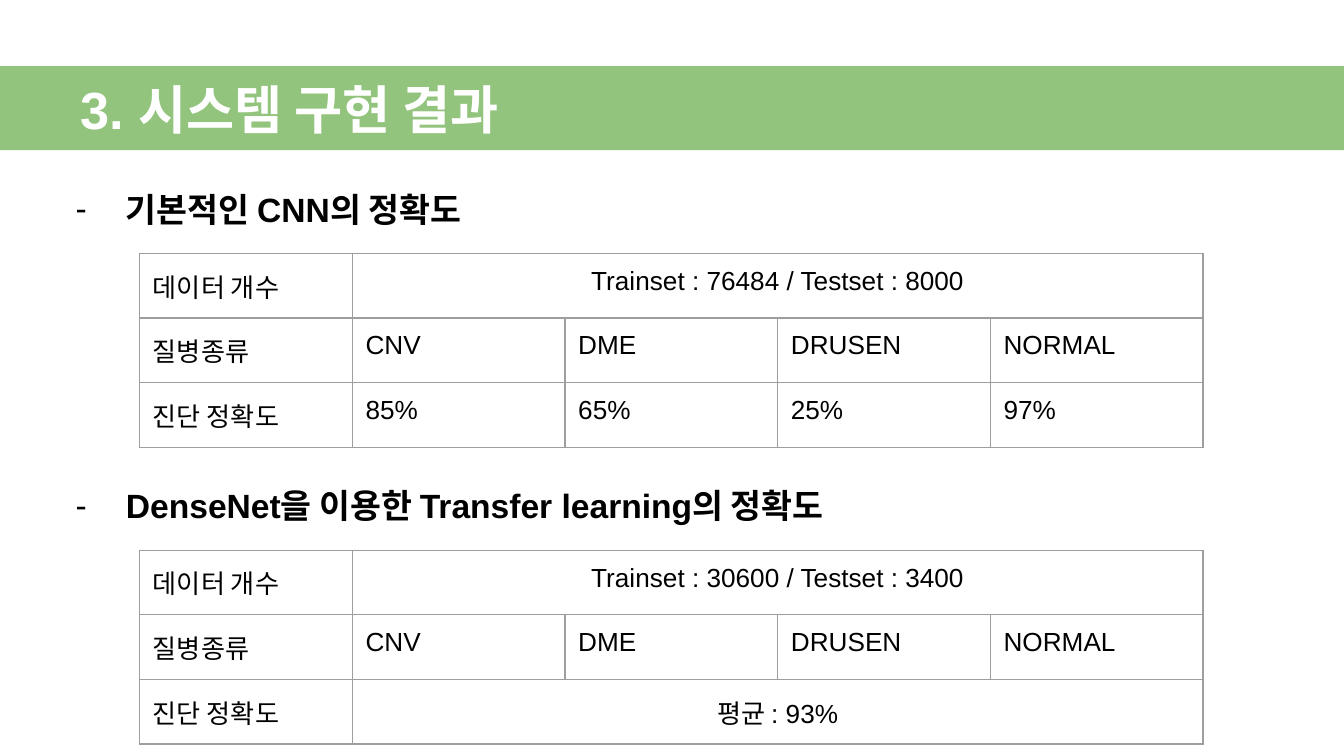
from dataclasses import dataclass

import pptx
import pptx.dml.color
import pptx.enum.text
import pptx.oxml.ns
import pptx.util
from lxml import etree

Cm = pptx.util.Cm
qn = pptx.oxml.ns.qn
Align = pptx.enum.text.PP_ALIGN
Anchor = pptx.enum.text.MSO_ANCHOR


@dataclass(frozen=True)
class Theme:
    """Hold the colours, type sizes and font of the deck."""
    band: str = "93C47D"
    light: str = "FFFFFF"
    dark: str = "000000"
    rule: str = "9E9E9E"
    font: str = "Arial"
    title_size: float = 28
    heading_size: float = 18
    cell_size: float = 14
    rule_width: float = 0.75


@dataclass(frozen=True)
class Box:
    """Hold a position and a size in centimetres."""
    left: float
    top: float
    width: float
    height: float

    def lengths(self):
        """Return the four lengths in slide units."""
        return [Cm(value) for value in (self.left, self.top, self.width, self.height)]


THEME = Theme()
COLUMNS = 5
INSET = Cm(0.25)


def write_text(frame, text, *, size, color, bold=False, align=Align.LEFT):
    """Write one formatted paragraph and return it."""
    frame.margin_left = frame.margin_right = INSET
    frame.margin_top = frame.margin_bottom = INSET
    para = frame.paragraphs[0]
    para.alignment = align
    para.space_before = pptx.util.Pt(0)
    span = para.add_run()
    span.text = text
    span.font.name = THEME.font
    span.font.size = pptx.util.Pt(size)
    span.font.bold = bold
    span.font.color.rgb = pptx.dml.color.RGBColor.from_string(color)
    return para


def place(shape, box, anchor):
    """Move a placeholder into a box and fix its text fitting."""
    shape.left, shape.top, shape.width, shape.height = box.lengths()
    frame = shape.text_frame
    frame.auto_size = pptx.enum.text.MSO_AUTO_SIZE.NONE
    frame.word_wrap = True
    frame.vertical_anchor = anchor
    return frame


def add_color(parent, color):
    """Add a plain colour to an XML element."""
    etree.SubElement(parent, qn("a:srgbClr"), val=color)


def set_indent(para, margin, first):
    """Set the left margin and first-line indent of a paragraph."""
    properties = para._p.get_or_add_pPr()
    properties.set("marL", str(Cm(margin)))
    properties.set("indent", str(Cm(first)))
    return properties


def add_dash(para):
    """Give a paragraph a hanging dash bullet."""
    properties = set_indent(para, 1.27, -0.95)
    add_color(etree.SubElement(properties, qn("a:buClr")), THEME.dark)
    etree.SubElement(properties, qn("a:buFont"), typeface=THEME.font)
    etree.SubElement(properties, qn("a:buChar"), char="-")


def add_borders(cell):
    """Draw a thin rule on each side of a cell."""
    properties = cell._tc.get_or_add_tcPr()
    for position, side in enumerate(("a:lnL", "a:lnR", "a:lnT", "a:lnB")):
        line = etree.SubElement(properties, qn(side), w=str(pptx.util.Pt(THEME.rule_width)))
        add_color(etree.SubElement(line, qn("a:solidFill")), THEME.rule)
        properties.insert(position, line)


def build_title(page, box, text):
    """Place the title on its green band."""
    title = page.shapes.title
    title.fill.solid()
    title.fill.fore_color.rgb = pptx.dml.color.RGBColor.from_string(THEME.band)
    frame = place(title, box, Anchor.MIDDLE)
    para = write_text(frame, text, size=THEME.title_size, color=THEME.light, bold=True)
    set_indent(para, 0, 1.27)


def build_table(page, box, rows):
    """Place a ruled table, merging the value cells of two-item rows."""
    table = page.shapes.add_table(len(rows), COLUMNS, *box.lengths()).table
    table.first_row = table.horz_banding = False
    for cell in table.iter_cells():
        cell.fill.background()
        add_borders(cell)
    for index, texts in enumerate(rows):
        merged = len(texts) < COLUMNS
        if merged:
            table.cell(index, 1).merge(table.cell(index, COLUMNS - 1))
        for column, text in enumerate(texts):
            cell = table.cell(index, column)
            cell.margin_left = cell.margin_right = INSET
            cell.margin_top = cell.margin_bottom = INSET
            align = Align.CENTER if merged and column else Align.LEFT
            write_text(cell.text_frame, text, size=THEME.cell_size,
                       color=THEME.dark, align=align)


def build_section(page, box, body, heading, rows):
    """Place a bulleted heading with its result table below."""
    heading_height = 1.59
    frame = place(body, Box(box.left, box.top, box.width, heading_height), Anchor.TOP)
    para = write_text(frame, heading, size=THEME.heading_size, color=THEME.dark, bold=True)
    para.line_spacing = 1.15
    add_dash(para)
    table_box = Box(box.left + 1.78, box.top + heading_height,
                    COLUMNS * 4.02, box.height - heading_height)
    build_table(page, table_box, rows)


def main():
    """Build and save the deck."""
    deck = pptx.Presentation()
    deck.slide_width, deck.slide_height = Cm(25.4), Cm(14.29)
    page = deck.slides.add_slide(deck.slide_layouts.get_by_name("Two Content"))
    build_title(page, Box(0, 1.25, 25.4, 1.59), "3. 시스템 구현 결과")
    kinds = ("질병종류", "CNV", "DME", "DRUSEN", "NORMAL")
    sections = (
        ("기본적인 CNN의 정확도", "Trainset : 76484 / Testset : 8000",
         ("85%", "65%", "25%", "97%")),
        ("DenseNet을 이용한 Transfer learning의 정확도",
         "Trainset : 30600 / Testset : 3400", ("평균 : 93%",)),
    )
    for index, (heading, counts, scores) in enumerate(sections):
        rows = (("데이터 개수", counts), kinds, ("진단 정확도", *scores))
        box = Box(0.86, 3.2 + 5.61 * index, 19.53, 4.8)
        build_section(page, box, page.placeholders[index + 1], heading, rows)
    deck.save("out.pptx")


if __name__ == "__main__":
    main()
